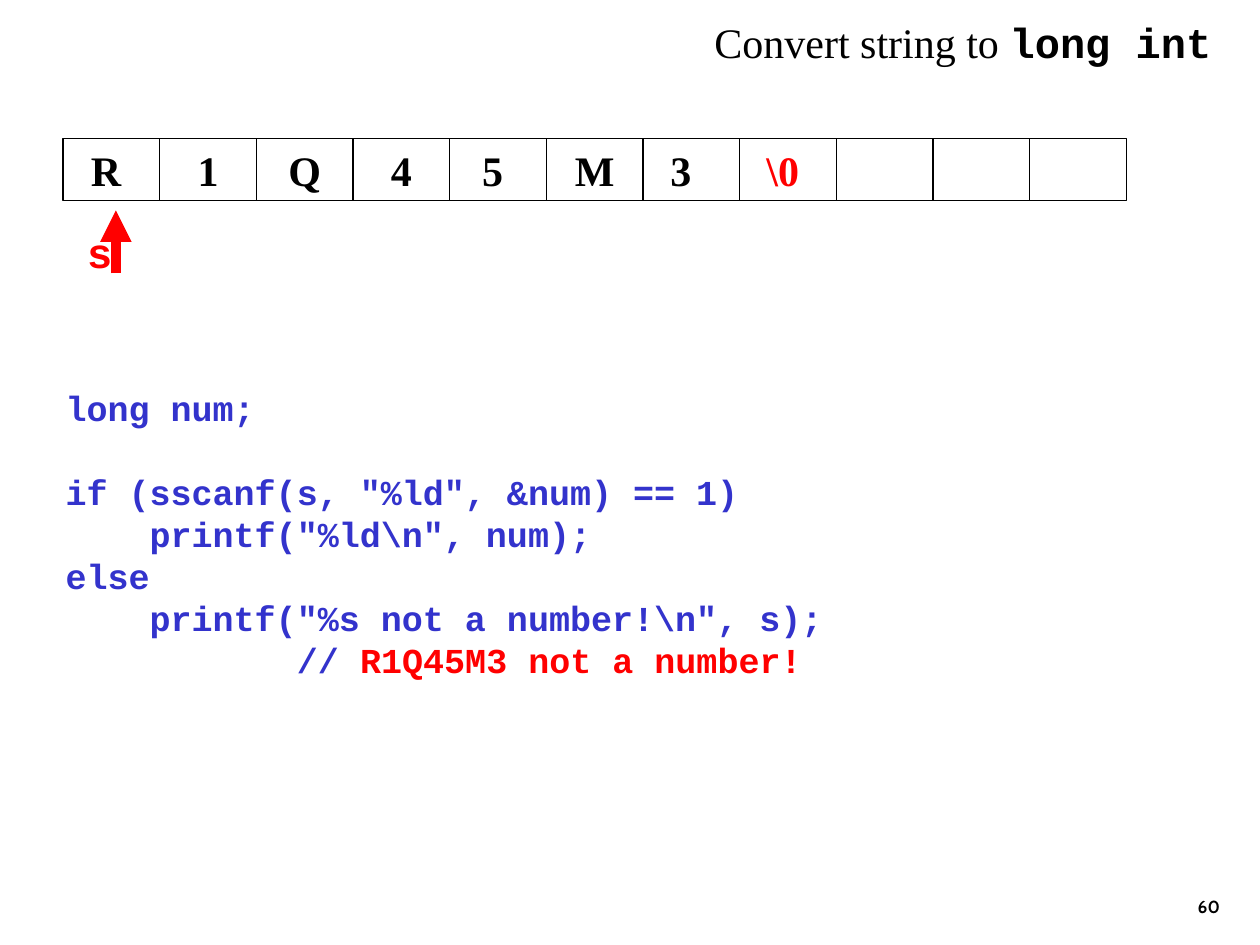
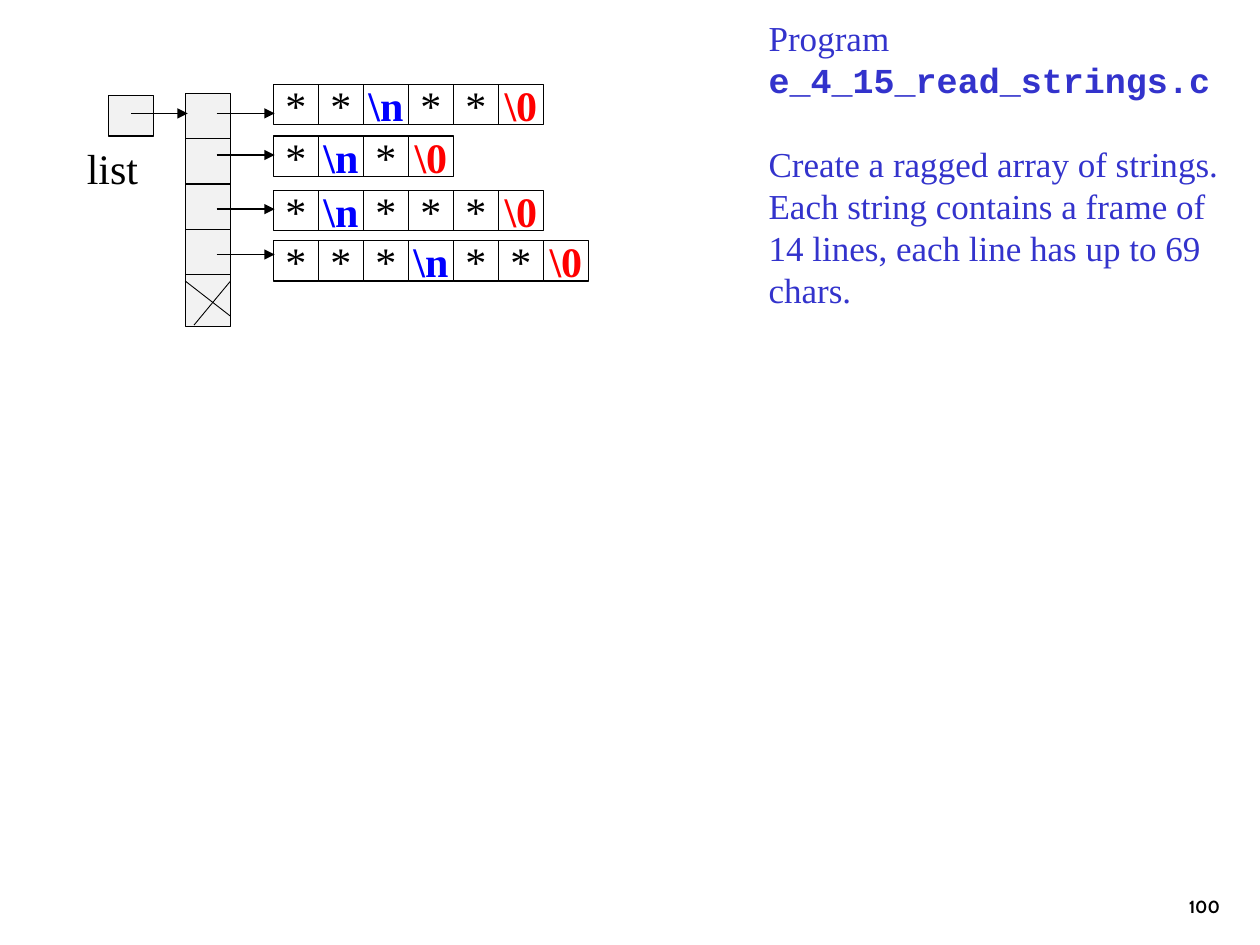
from dataclasses import dataclass
from typing import NamedTuple

from lxml.etree import SubElement
from pptx import Presentation
from pptx.dml.color import RGBColor
from pptx.enum.shapes import MSO_CONNECTOR, MSO_SHAPE
from pptx.enum.text import MSO_ANCHOR, MSO_AUTO_SIZE, PP_ALIGN
from pptx.oxml.ns import qn
from pptx.slide import Slide
from pptx.text.text import Font, TextFrame
from pptx.util import Inches, Pt

COLORS = {
    "black": "000000",
    "white": "FFFFFF",
    "red": "FF0000",
    "newline": "0000FF",
    "code": "3333CC",
    "pointer": "F2F2F2",
}
SERIF = "Times New Roman"
MONO = "Courier New"
SANS = "Cabin"
LINE_HEIGHT = 1.2
SPACE_WIDTH = 0.83

deck = Presentation()
deck.slide_width = Inches(10)
deck.slide_height = Inches(7.5)
COLUMN = deck.slide_width / 100
ROW = deck.slide_height / 75


class Area(NamedTuple):
    left: float
    top: float
    width: float
    height: float

    def place(self) -> tuple[int, int, int, int]:
        return (round(self.left * COLUMN), round(self.top * ROW),
                round(self.width * COLUMN), round(self.height * ROW))


@dataclass(frozen=True)
class Span:
    text: str
    color: str = "black"
    face: str = SERIF
    bold: bool = False


@dataclass(frozen=True)
class Para:
    spans: tuple[Span, ...]
    lines_before: int = 0


@dataclass(frozen=True)
class Cell:
    span: Span | None = None
    trailing_spaces: int = 0


@dataclass(frozen=True)
class Line:
    start: tuple[float, float]
    end: tuple[float, float]
    color: str = "black"
    weight: float = 0.75
    arrow: bool = True


def rgb(name: str) -> RGBColor:
    return RGBColor.from_string(COLORS[name])


def set_font(font: Font, span: Span) -> None:
    font.name = span.face
    font.bold = span.bold
    font.color.rgb = rgb(span.color)


def write(frame: TextFrame, paras: list[Para], size: float,
          align: PP_ALIGN = PP_ALIGN.LEFT, anchor: MSO_ANCHOR = MSO_ANCHOR.TOP,
          wrap: bool = True) -> None:
    frame.auto_size = MSO_AUTO_SIZE.NONE
    frame.word_wrap = wrap
    frame.vertical_anchor = anchor
    for index, para in enumerate(paras):
        paragraph = frame.paragraphs[0] if index == 0 else frame.add_paragraph()
        properties = paragraph._p.get_or_add_pPr()
        properties.set("marL", "0")
        properties.set("indent", "0")
        SubElement(properties, qn("a:buNone"))
        paragraph.alignment = align
        paragraph.line_spacing = Pt(size * LINE_HEIGHT)
        paragraph.space_before = Pt(size * LINE_HEIGHT * para.lines_before)
        paragraph.font.size = Pt(size)
        set_font(paragraph.font, para.spans[0])
        for span in para.spans:
            run = paragraph.add_run()
            run.text = span.text
            if span != para.spans[0]:
                set_font(run.font, span)


def add_label(page: Slide, area: Area, span: Span, size: float,
              align: PP_ALIGN = PP_ALIGN.LEFT,
              anchor: MSO_ANCHOR = MSO_ANCHOR.TOP) -> None:
    box = page.shapes.add_textbox(*area.place())
    write(box.text_frame, [Para((span,))], size, align, anchor, wrap=False)


def fill_placeholder(page: Slide, index: int, area: Area, paras: list[Para], size: float) -> None:
    box = page.placeholders[index]
    box.left, box.top, box.width, box.height = area.place()
    write(box.text_frame, paras, size)


def add_cell(page: Slide, area: Area, cell: Cell = Cell(), fill: str | None = None) -> None:
    box = page.shapes.add_shape(MSO_SHAPE.RECTANGLE, *area.place())
    box.shadow.inherit = False
    box.line.color.rgb = rgb("black")
    box.line.width = Pt(0.75)
    if fill:
        box.fill.solid()
        box.fill.fore_color.rgb = rgb(fill)
    else:
        box.fill.background()
    if cell.span:
        frame = box.text_frame
        frame.margin_right = round((1 + SPACE_WIDTH * cell.trailing_spaces) * COLUMN)
        write(frame, [Para((cell.span,))], 24, PP_ALIGN.CENTER, MSO_ANCHOR.MIDDLE, wrap=False)


def add_array(page: Slide, first: Area, cells: list[Cell], first_fill: str | None = None) -> None:
    for index, cell in enumerate(cells):
        area = first._replace(left=first.left + index * first.width)
        add_cell(page, area, cell, first_fill if index == 0 else None)


def add_line(page: Slide, line: Line) -> None:
    (x1, y1), (x2, y2) = line.start, line.end
    connector = page.shapes.add_connector(
        MSO_CONNECTOR.STRAIGHT, round(x1 * COLUMN), round(y1 * ROW),
        round(x2 * COLUMN), round(y2 * ROW))
    connector.line.color.rgb = rgb(line.color)
    connector.line.width = Pt(line.weight)
    if line.arrow:
        SubElement(connector.line._get_or_add_ln(), qn("a:tailEnd"), type="triangle")
    SubElement(connector._element.spPr, qn("a:effectLst"))


def add_page(number: str) -> Slide:
    page = deck.slides.add_slide(deck.slide_layouts[1])
    add_label(page, Area(77, 68.3, 20.8, 5), Span(number, face=SANS, bold=True), 10,
              PP_ALIGN.RIGHT, MSO_ANCHOR.BOTTOM)
    return page


def code(text: str, color: str = "code") -> Span:
    return Span(text, color, MONO, True)


def build_conversion() -> None:
    page = add_page("60")
    fill_placeholder(page, 0, Area(55.7, 0.8, 42.2, 5), [
        Para((Span("Convert string to "), Span("long int", face=MONO, bold=True)))], 24)
    fill_placeholder(page, 1, Area(4.2, 30.2, 91.7, 27.7), [
        Para((code("long num;"),)),
        Para((code('if (sscanf(s, "%ld", &num) == 1)'),), lines_before=1),
        Para((code('    printf("%ld\\n", num);'),)),
        Para((code("else"),)),
        Para((code('    printf("%s not a number!\\n", s);'),)),
        Para((code("           // "), code("R1Q45M3 not a number!", "red"))),
    ], 20)
    add_line(page, Line((9.2, 21.7), (9.2, 16.7), "red", 6))
    add_label(page, Area(5.9, 17.5, 4, 5), code("s", "red"), 24, PP_ALIGN.RIGHT)

    spaces_after = {"R": 1, "5": 1, "3": 2}
    cells = [Cell(Span(letter, bold=True), spaces_after.get(letter, 0)) for letter in "R1Q45M3"]
    cells.append(Cell(Span("\\0", "red", bold=True), 1))
    cells += [Cell()] * 3
    add_array(page, Area(5, 11, 84.4 / len(cells), 4.9), cells)


def build_ragged_array() -> None:
    page = add_page("100")
    title = page.shapes.title
    title._element.getparent().remove(title._element)
    fill_placeholder(page, 1, Area(60, 0.8, 39.2, 24.4), [
        Para((Span("Program ", "code"), code("e_4_15_read_strings.c"))),
        Para((Span("Create a ragged array of strings.", "code"),), lines_before=1),
        Para((Span("Each string contains a frame of", "code"),)),
        Para((Span("14 lines, each line has up to 69 chars.", "code"),)),
    ], 20)

    for index in range(5):
        add_cell(page, Area(14.7, 7.4 + 3.6 * index, 3.6, 4.1), fill="pointer")
    add_cell(page, Area(8.6, 7.6, 3.6, 3.2), fill="pointer")
    add_label(page, Area(5.9, 10.8, 6.9, 5), Span("list"), 24)

    symbols = {
        "*": Cell(Span("*")),
        "n": Cell(Span("\\n", "newline", bold=True)),
        "0": Cell(Span("\\0", "red", bold=True)),
    }
    strings = {6.7: "**n**0", 10.8: "*n*0", 15.1: "*n***0", 19.1: "***n**0"}
    for top, string in strings.items():
        add_array(page, Area(21.7, top, 25 / 7, 3.2),
                  [symbols[symbol] for symbol in string], "white")

    add_line(page, Line((10.4, 9), (14.9, 9)))
    for y in (9, 12.3, 16.6, 20.2):
        add_line(page, Line((17.2, y), (21.8, y)))
    for start, end in (((18.3, 22.3), (15.4, 25.8)), ((14.7, 22.3), (18.3, 25.1))):
        add_line(page, Line(start, end, weight=0.5, arrow=False))


def main() -> None:
    build_conversion()
    build_ragged_array()
    deck.save("out.pptx")


if __name__ == "__main__":
    main()
